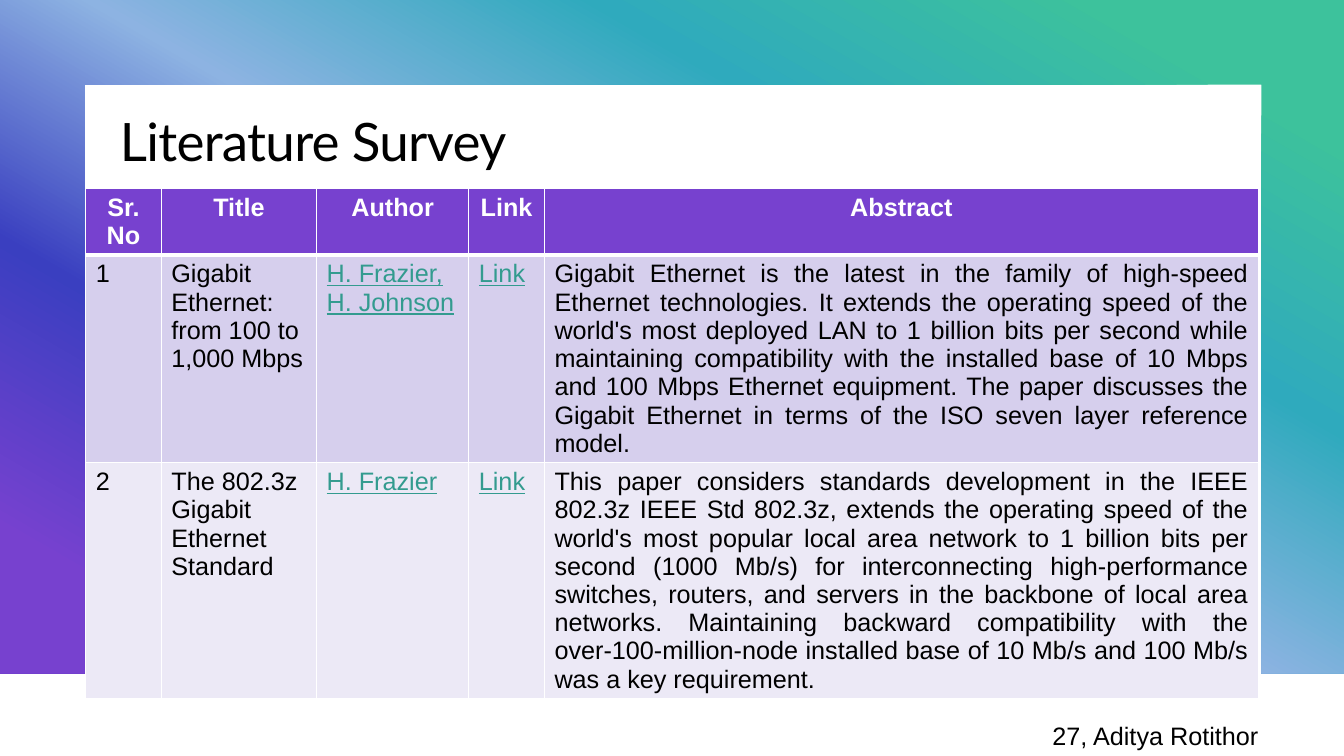
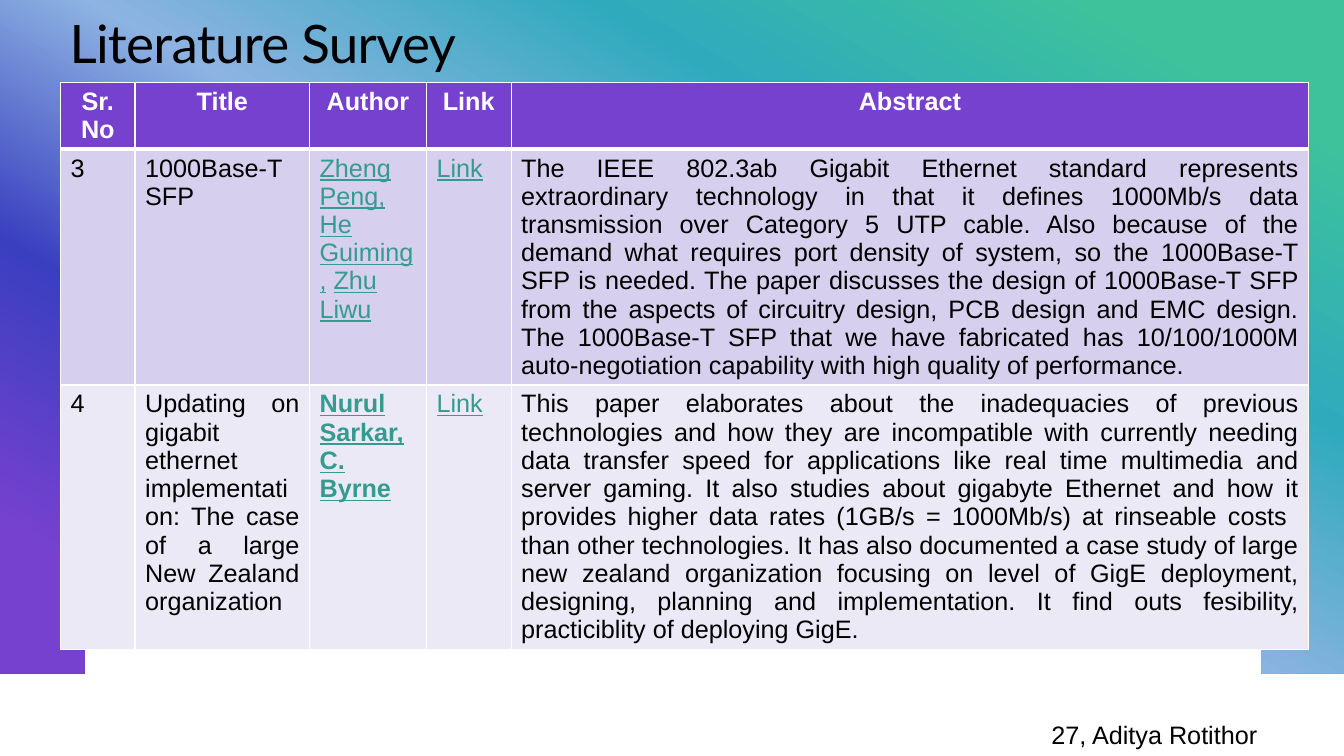
from lxml import etree
from pptx import Presentation
from pptx.dml.color import RGBColor
from pptx.enum.text import MSO_ANCHOR, PP_ALIGN
from pptx.oxml import parse_xml
from pptx.oxml.ns import nsdecls, qn
from pptx.util import Inches, Pt

BLACK = RGBColor(0x00, 0x00, 0x00)
WHITE = RGBColor(0xFF, 0xFF, 0xFF)
PURPLE = RGBColor(0x77, 0x41, 0xCF)
LINK_TEAL = RGBColor(0x33, 0x9B, 0x8F)
ROW_FILLS = (RGBColor(0xD6, 0xCF, 0xED), RGBColor(0xEC, 0xE9, 0xF6))
FRAME_STOPS = (
    (10, RGBColor(0x3D, 0xC2, 0x9C)),
    (30, RGBColor(0x2F, 0xAA, 0xBD)),
    (50, RGBColor(0x8D, 0xB3, 0xE2)),
    (70, RGBColor(0x3A, 0x3F, 0xC0)),
    (90, PURPLE),
)
FRAME_ANGLE = 120
FRAME_POINTS = (
    (0, 0), (13.33, 0), (13.33, 6.68), (12.51, 6.68),
    (12.51, 0.84), (0.84, 0.84), (0.84, 6.68), (0, 6.68),
)

BODY_FONT, BODY_SIZE = "Arial", Pt(18)
TITLE_FONT, TITLE_SIZE = "Lato", Pt(37.8)
TITLE = "Literature Survey"
FOOTER = "27, Aditya Rotithor"
HEADINGS = ("Sr. No", "Title", "Author", "Link", "Abstract")
LINK_COLUMNS = (2, 3)
ABSTRACT_COLUMN = 4

SLIDES = [
    {
        "title_at": (1.09, 1.06),
        "table_at": (0.85, 1.87),
        "footer_at": (10.34, 7.1),
        "columns": (0.75, 1.54, 1.51, 0.75, 7.08),
        "rows": (0.65, 2.06, 2.34),
        "papers": [
            {
                "number": "1",
                "title": "Gigabit Ethernet: from 100 to 1,000 Mbps",
                "authors": ["H. Frazier, H. Johnson"],
                "abstract": "Gigabit Ethernet is the latest in the family of high-speed "
                "Ethernet technologies. It extends the operating speed of the world's most "
                "deployed LAN to 1 billion bits per second while maintaining compatibility "
                "with the installed base of 10 Mbps and 100 Mbps Ethernet equipment. The "
                "paper discusses the Gigabit Ethernet in terms of the ISO seven layer "
                "reference model.",
            },
            {
                "number": "2",
                "title": "The 802.3z Gigabit Ethernet Standard",
                "authors": ["H. Frazier"],
                "abstract": "This paper considers standards development in the IEEE 802.3z "
                "IEEE Std 802.3z, extends the operating speed of the world's most popular "
                "local area network to 1 billion bits per second (1000 Mb/s) for "
                "interconnecting high-performance switches, routers, and servers in the "
                "backbone of local area networks. Maintaining backward compatibility with "
                "the over-100-million-node installed base of 10 Mb/s and 100 Mb/s was a key "
                "requirement.",
            },
        ],
    },
    {
        "title_at": (0.59, 0.09),
        "table_at": (0.6, 0.82),
        "footer_at": (10.33, 7.09),
        "columns": (0.74, 1.73, 1.16, 0.84, 7.91),
        "rows": (0.65, 2.34, 2.62),
        "papers": [
            {
                "number": "3",
                "title": "1000Base-T SFP",
                "authors": ["Zheng Peng,", "He Guiming,", "Zhu Liwu"],
                "abstract": "The IEEE 802.3ab Gigabit Ethernet standard represents "
                "extraordinary technology in that it defines 1000Mb/s data transmission over "
                "Category 5 UTP cable. Also because of the demand what requires port density "
                "of system, so the 1000Base-T SFP is needed. The paper discusses the design "
                "of 1000Base-T SFP from the aspects of circuitry design, PCB design and EMC "
                "design. The 1000Base-T SFP that we have fabricated has 10/100/1000M "
                "auto-negotiation capability with high quality of performance.",
            },
            {
                "number": "4",
                "title": "Updating on gigabit ethernet implementation: The case of a large "
                "New Zealand organization",
                "authors": ["Nurul Sarkar, C. Byrne"],
                "justify_title": True,
                "bold_authors": True,
                "abstract": "This paper elaborates about the inadequacies of previous "
                "technologies and how they are incompatible with currently needing data "
                "transfer speed for applications like real time multimedia and server "
                "gaming. It also studies about gigabyte Ethernet and how it provides higher "
                "data rates (1GB/s = 1000Mb/s) at rinseable costs  than other technologies. "
                "It has also documented a case study of large new zealand organization "
                "focusing on level of GigE deployment, designing, planning and "
                "implementation. It find outs fesibility, practiciblity of deploying GigE.",
            },
        ],
    },
]


def format_run(run, color=BLACK, bold=False, underline=False, font=BODY_FONT, size=BODY_SIZE):
    run.font.name = font
    run.font.size = size
    run.font.bold = bold
    run.font.underline = underline
    run.font.color.rgb = color


def add_frame(slide, layout):
    """Draw the gradient frame and move it to the layout, behind everything."""
    points = [(Inches(x), Inches(y)) for x, y in FRAME_POINTS]
    builder = slide.shapes.build_freeform(*points[0])
    builder.add_line_segments(points[1:], close=True)
    frame = builder.convert_to_shape()
    frame.shadow.inherit = False
    frame.line.fill.background()
    frame.fill.gradient()
    gradient = frame.element.spPr.find(qn("a:gradFill"))
    stops = "".join(
        f'<a:gs pos="{position * 1000}"><a:srgbClr val="{color}"/></a:gs>'
        for position, color in FRAME_STOPS
    )
    gradient.getparent().replace(gradient, parse_xml(
        f'<a:gradFill {nsdecls("a")} rotWithShape="1"><a:gsLst>{stops}</a:gsLst>'
        f'<a:lin ang="{FRAME_ANGLE * 60000}" scaled="0"/></a:gradFill>'
    ))
    layout.shapes.element.insert(2, frame.element)


def set_title(slide, left, top):
    title = slide.shapes.title
    title.left, title.top = Inches(left), Inches(top)
    title.width, title.height = Inches(10), Inches(0.73)
    frame = title.text_frame
    frame.text = TITLE
    frame.vertical_anchor = MSO_ANCHOR.MIDDLE
    paragraph = frame.paragraphs[0]
    paragraph.alignment = PP_ALIGN.LEFT
    paragraph.line_spacing = 0.95
    run = paragraph.runs[0]
    format_run(run, font=TITLE_FONT, size=TITLE_SIZE)
    run.font._element.set("spc", "-50")


def add_footer(slide, left, top):
    box = slide.shapes.add_textbox(Inches(left), Inches(top), Inches(3), Inches(0.4))
    box.text_frame.word_wrap = True
    box.text_frame.text = FOOTER
    format_run(box.text_frame.paragraphs[0].runs[0])


def set_borders(cell, top, bottom):
    properties = cell._tc.get_or_add_tcPr()
    widths = {"lnL": 1, "lnR": 1, "lnT": top, "lnB": bottom}
    for index, (edge, width) in enumerate(widths.items()):
        line = etree.Element(qn(f"a:{edge}"), w=str(Pt(width)))
        fill = etree.SubElement(line, qn("a:solidFill"))
        etree.SubElement(fill, qn("a:srgbClr"), val=str(WHITE))
        properties.insert(index, line)


def fill_heading(cell, heading):
    cell.text_frame.text = heading
    paragraph = cell.text_frame.paragraphs[0]
    paragraph.alignment = PP_ALIGN.CENTER
    format_run(paragraph.runs[0], WHITE, bold=True)


def fill_paper_cell(cell, column, paper):
    parts = ([paper["number"]], [paper["title"]], paper["authors"], ["Link"],
             [paper["abstract"]])[column]
    is_link = column in LINK_COLUMNS
    bold = column == 2 and paper.get("bold_authors", False)
    paragraph = cell.text_frame.paragraphs[0]
    if column == ABSTRACT_COLUMN or (column == 1 and paper.get("justify_title")):
        paragraph.alignment = PP_ALIGN.JUSTIFY
    for index, part in enumerate(parts):
        if index:
            gap = paragraph.add_run()
            gap.text = " "
            format_run(gap)
        run = paragraph.add_run()
        run.text = part
        format_run(run, LINK_TEAL if is_link else BLACK, bold, is_link)


def add_survey_table(slide, content):
    left, top = content["table_at"]
    columns, rows = content["columns"], content["rows"]
    table = slide.shapes.add_table(
        len(rows), len(columns), Inches(left), Inches(top),
        Inches(sum(columns)), Inches(sum(rows)),
    ).table
    for column, width in zip(table.columns, columns):
        column.width = Inches(width)
    for row_index, (row, height) in enumerate(zip(table.rows, rows)):
        row.height = Inches(height)
        for column_index, cell in enumerate(row.cells):
            cell.fill.solid()
            if row_index == 0:
                cell.fill.fore_color.rgb = PURPLE
                fill_heading(cell, HEADINGS[column_index])
            else:
                cell.fill.fore_color.rgb = ROW_FILLS[row_index - 1]
                fill_paper_cell(cell, column_index, content["papers"][row_index - 1])
            set_borders(cell, top=3 if row_index == 1 else 1, bottom=3 if row_index == 0 else 1)


def main():
    presentation = Presentation()
    presentation.slide_width, presentation.slide_height = Inches(13.33), Inches(7.5)
    layout = presentation.slide_layouts.get_by_name("Title Only")
    for index, content in enumerate(SLIDES):
        slide = presentation.slides.add_slide(layout)
        if index == 0:
            add_frame(slide, layout)
        set_title(slide, *content["title_at"])
        add_survey_table(slide, content)
        add_footer(slide, *content["footer_at"])
    presentation.save("out.pptx")


if __name__ == "__main__":
    main()
